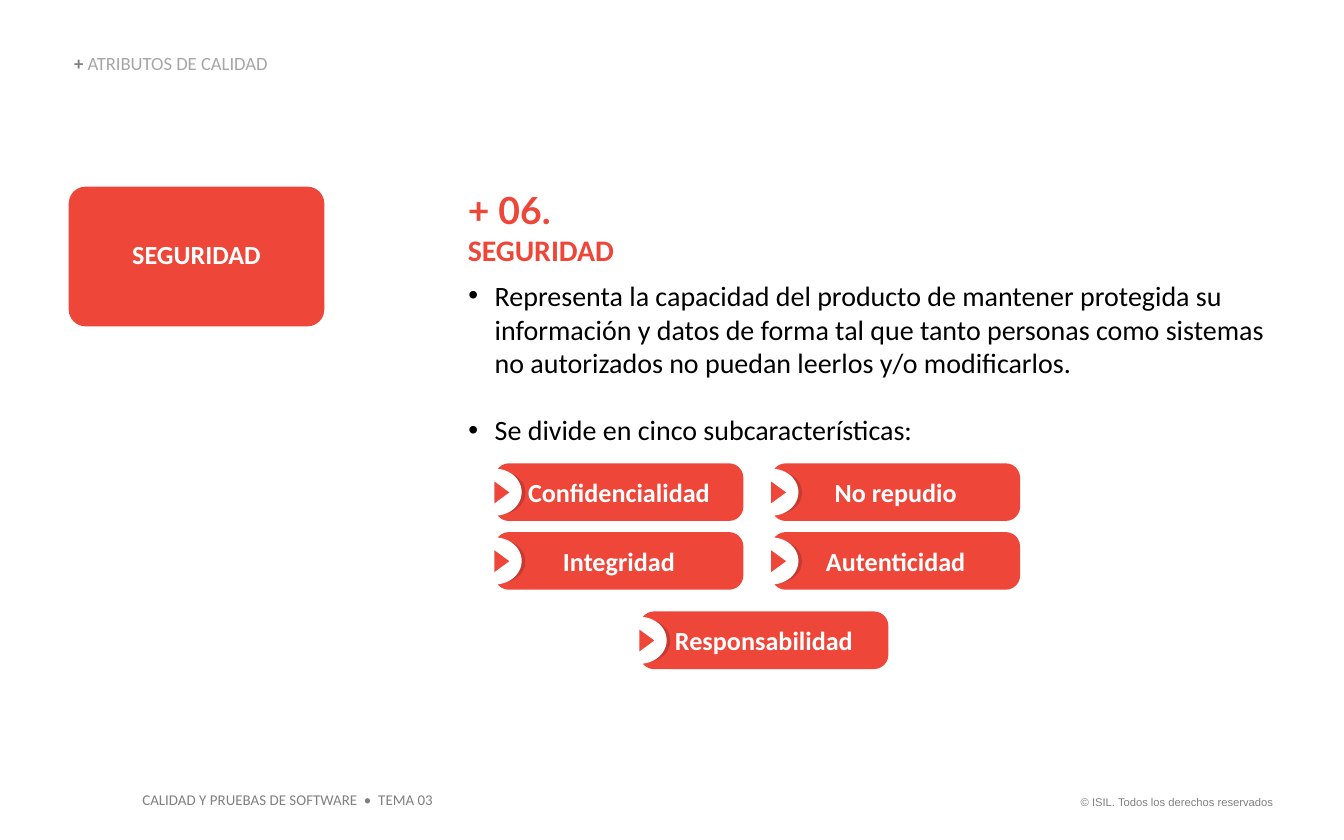
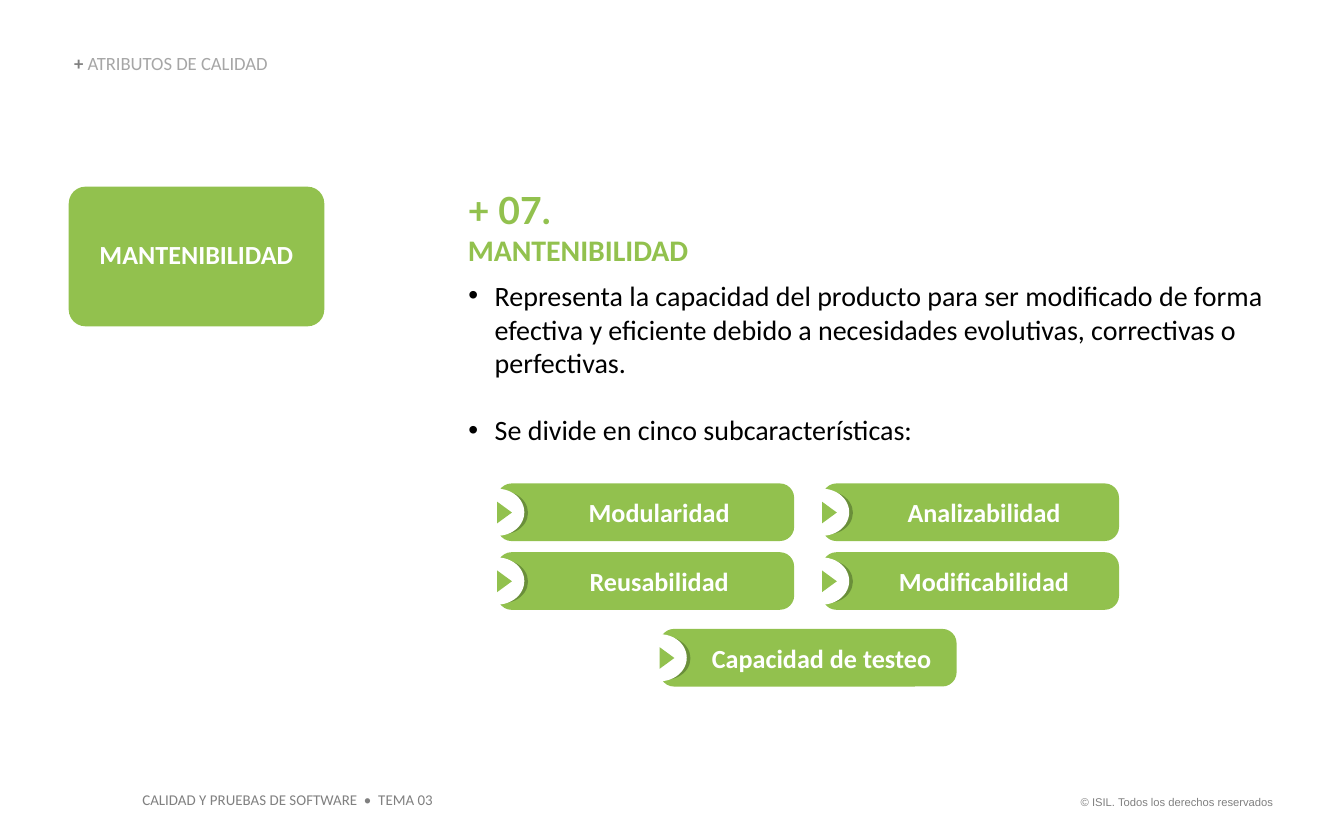
import dataclasses

import pptx
import pptx.dml.color
import pptx.enum.shapes
import pptx.enum.text
import pptx.oxml.ns
import pptx.util
from lxml import etree
from pptx.util import Cm, Pt

SHAPE = pptx.enum.shapes.MSO_SHAPE
ANCHOR = pptx.enum.text.MSO_ANCHOR
ALIGN = pptx.enum.text.PP_ALIGN
FIT = pptx.enum.text.MSO_AUTO_SIZE


@dataclasses.dataclass(frozen=True)
class Theme:
    white: str = "FFFFFF"
    black: str = "000000"
    grey: str = "808080"
    light_grey: str = "A6A6A6"
    red: str = "EE4639"
    dark_red: str = "C73A31"
    green: str = "92C14E"
    dark_green: str = "6A8F3A"
    font: str = "Calibri"
    number_font: str = "Lato"
    rights_font: str = "Arial"
    number: int = 20
    heading: int = 16
    body: int = 15
    label: int = 14
    title: int = 10
    footer: int = 8
    rights: int = 6


THEME = Theme()


@dataclasses.dataclass(frozen=True)
class Attribute:
    """A quality attribute; lengths are centimetres."""
    number: str
    name: str
    definition: str
    columns: tuple  # labels, one tuple for each column of the grid
    last: str       # label below the grid
    colour: str
    shade: str
    grid_at: tuple
    last_at: tuple
    label_width: float
    label_indent: float


ATTRIBUTES = (
    Attribute(
        "06", "SEGURIDAD",
        "Representa la capacidad del producto de mantener protegida su "
        "información y datos de forma tal que tanto personas como sistemas "
        "no autorizados no puedan leerlos y/o modificarlos.",
        (("Confidencialidad", "Integridad"), ("No repudio", "Autenticidad")),
        "Responsabilidad", THEME.red, THEME.dark_red,
        grid_at=(9.35, 8.76), last_at=(12.09, 11.56),
        label_width=4.7, label_indent=0),
    Attribute(
        "07", "MANTENIBILIDAD",
        "Representa la capacidad del producto para ser modificado de forma "
        "efectiva y eficiente debido a necesidades evolutivas, correctivas "
        "o perfectivas.",
        (("Modularidad", "Reusabilidad"),
         ("Analizabilidad", "Modificabilidad")),
        "Capacidad de testeo", THEME.green, THEME.dark_green,
        grid_at=(9.4, 9.14), last_at=(12.47, 11.89),
        label_width=5.61, label_indent=0.51),
)
COLUMN_GAP = 0.53
ROW_PITCH = 1.3
LABEL_HEIGHT = 1.09


def rgb(colour):
    return pptx.dml.color.RGBColor.from_string(colour)


def style(font, size=None, colour=None, name=None, bold=None):
    if size:
        font.size = Pt(size)
    if colour:
        font.color.rgb = rgb(colour)
    if name:
        font.name = name
    if bold is not None:
        font.bold = bold


def place(part, left, top, width, height):
    part.left, part.top = Cm(left), Cm(top)
    part.width, part.height = Cm(width), Cm(height)


def clear_insets(frame):
    frame.margin_left = frame.margin_right = 0
    frame.margin_top = frame.margin_bottom = 0
    frame.word_wrap = True
    frame.auto_size = FIT.NONE


def set_bullet(paragraph, bullet=None):
    """Give the paragraph a black hanging bullet, or none at all."""
    properties = paragraph._p.get_or_add_pPr()
    properties.set("marL", str(Cm(0.51) if bullet else 0))
    properties.set("indent", str(-Cm(0.5) if bullet else 0))
    qn = pptx.oxml.ns.qn
    if not bullet:
        etree.SubElement(properties, qn("a:buNone"))
        return
    bullet_colour = etree.SubElement(properties, qn("a:buClr"))
    etree.SubElement(bullet_colour, qn("a:srgbClr"), val=THEME.black)
    etree.SubElement(properties, qn("a:buFont"), typeface="Arial")
    etree.SubElement(properties, qn("a:buChar"), char=bullet)


def add_solid(shapes, kind, box, colour):
    solid = shapes.add_shape(kind, *(Cm(length) for length in box))
    solid.shadow.inherit = False
    solid.fill.solid()
    solid.fill.fore_color.rgb = rgb(colour)
    solid.line.fill.background()
    return solid


def add_label(shapes, text, box, corner, colour, indent=0):
    """Rounded rectangle with centred white text."""
    label = add_solid(shapes, SHAPE.ROUNDED_RECTANGLE, box, colour)
    label.adjustments[0] = corner
    frame = label.text_frame
    frame.word_wrap = True
    frame.vertical_anchor = ANCHOR.MIDDLE
    paragraph = frame.paragraphs[0]
    paragraph.text = text
    paragraph.alignment = ALIGN.CENTER
    paragraph._p.get_or_add_pPr().set("marL", str(Cm(indent)))
    style(paragraph.font, THEME.label, THEME.white, THEME.font, True)
    return paragraph


def add_subcharacteristic(slide, text, left, top, attribute):
    """Label with a round notch and a pointer at its left end."""
    shapes = slide.shapes.add_group_shape().shapes
    add_label(shapes, text, (left, top, attribute.label_width, LABEL_HEIGHT),
              0.248, attribute.colour, attribute.label_indent)
    add_solid(shapes, SHAPE.OVAL, (left - 0.36, top + 0.15, 0.94, 0.81),
              attribute.shade)
    add_solid(shapes, SHAPE.OVAL, (left - 0.51, top + 0.1, 1.02, 0.89),
              THEME.white)
    pointer = add_solid(shapes, SHAPE.ISOSCELES_TRIANGLE,
                        (left - 0.07, top + 0.41, 0.41, 0.28),
                        attribute.colour)
    pointer.rotation = 90


def add_subcharacteristics(slide, attribute):
    left, top = attribute.grid_at
    for column, labels in enumerate(attribute.columns):
        for row, text in enumerate(labels):
            add_subcharacteristic(
                slide, text,
                left + column * (attribute.label_width + COLUMN_GAP),
                top + row * ROW_PITCH, attribute)
    add_subcharacteristic(slide, attribute.last, *attribute.last_at, attribute)


def fill_title(title):
    place(title, 1.4, 1.04, 9.17, 0.38)
    frame = title.text_frame
    clear_insets(frame)
    frame.vertical_anchor = ANCHOR.BOTTOM
    paragraph = frame.paragraphs[0]
    paragraph.alignment = ALIGN.LEFT
    paragraph.line_spacing = 0.9
    paragraph.space_before = Pt(0)
    style(paragraph.font, THEME.title, name=THEME.font)
    for text, colour, bold in (("+ ", THEME.grey, True),
                               ("ATRIBUTOS DE CALIDAD", THEME.light_grey, False)):
        run = paragraph.add_run()
        run.text = text
        style(run.font, colour=colour, bold=bold)


def fill_definition(body, attribute):
    place(body, 8.84, 3.53, 15.27, 4.95)
    frame = body.text_frame
    clear_insets(frame)

    # Number and name of the attribute
    heading = frame.paragraphs[0]
    set_bullet(heading)
    heading.space_before, heading.space_after = Pt(0), Pt(6)
    style(heading.font, colour=attribute.colour, bold=True)
    number = heading.add_run()
    number.text = f"+ {attribute.number}."
    style(number.font, THEME.number, name=THEME.number_font)
    heading.add_line_break()
    name = heading.add_run()
    name.text = attribute.name
    style(name.font, THEME.heading, name=THEME.font)

    # Definition and lead-in to the labels
    for text, gap in ((attribute.definition, 0),
                      ("Se divide en cinco subcaracterísticas:", 18)):
        item = frame.add_paragraph()
        item.text = text
        set_bullet(item, "•")
        item.space_before = Pt(gap)
        style(item.font, THEME.body, THEME.black, THEME.font, False)


def add_footer(slide, text, box, size, font, alignment):
    footer = slide.shapes.add_textbox(*(Cm(length) for length in box))
    footer.text_frame.word_wrap = False
    paragraph = footer.text_frame.paragraphs[0]
    paragraph.text = text
    paragraph.alignment = alignment
    style(paragraph.font, size, THEME.grey, font)


def add_attribute_slide(deck, attribute):
    slide = deck.slides.add_slide(deck.slide_layouts[1])
    add_footer(slide, "© ISIL. Todos los derechos reservados",
               (20.02, 14.91, 4.29, 0.51), THEME.rights, THEME.rights_font,
               ALIGN.RIGHT)
    add_footer(slide, "CALIDAD Y PRUEBAS DE SOFTWARE  •  TEMA 03",
               (2.44, 14.83, 6.02, 0.61), THEME.footer, THEME.font, ALIGN.LEFT)
    fill_title(slide.shapes.title)
    fill_definition(slide.placeholders[1], attribute)
    tile = add_label(slide.shapes, attribute.name, (1.3, 3.53, 4.83, 2.64),
                     0.12, attribute.colour)
    tile.line_spacing = 0.9
    add_subcharacteristics(slide, attribute)


def main():
    deck = pptx.Presentation()
    deck.slide_width, deck.slide_height = Cm(25.4), Cm(15.88)
    for attribute in ATTRIBUTES:
        add_attribute_slide(deck, attribute)
    deck.save("out.pptx")


if __name__ == "__main__":
    main()
